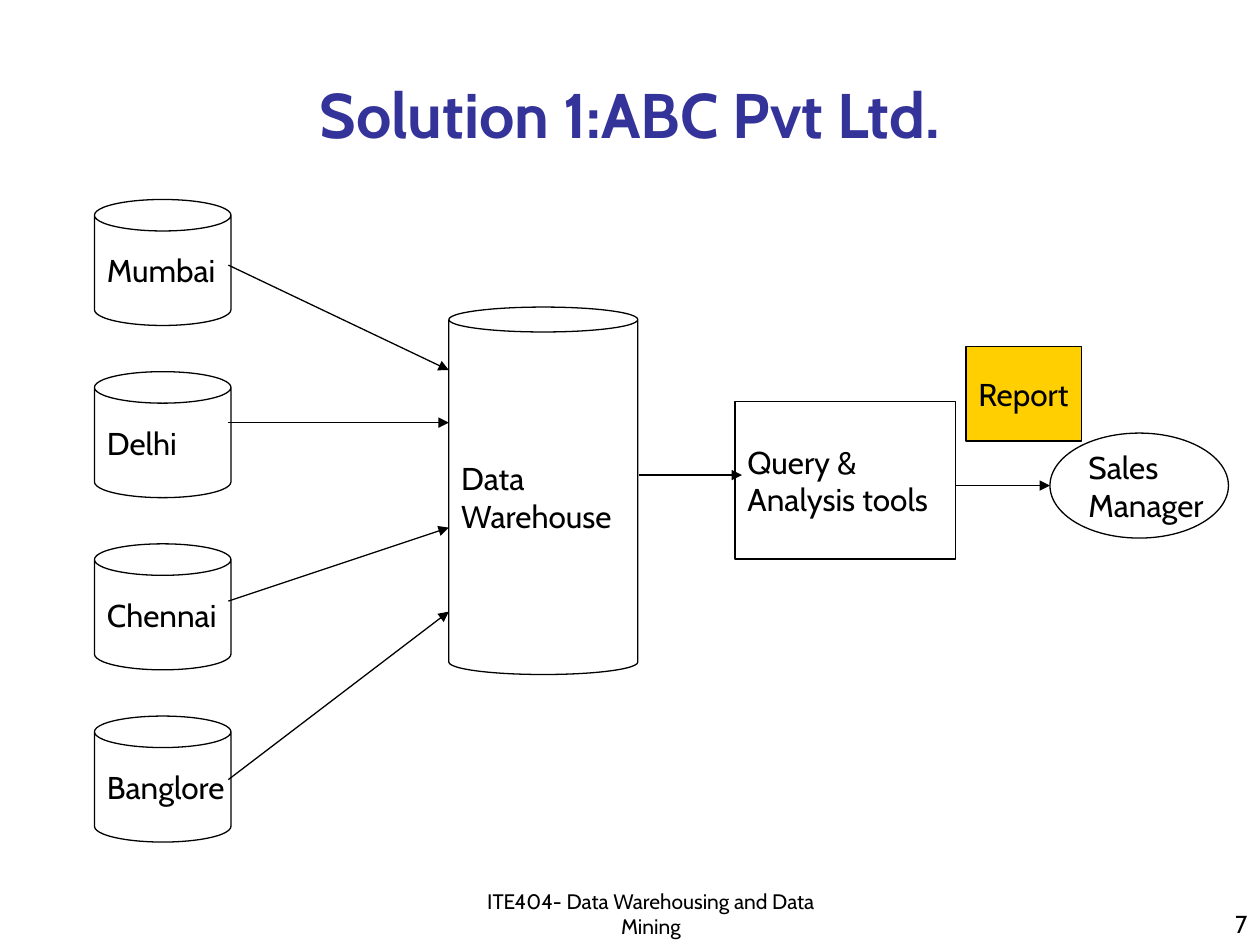
from typing import NamedTuple, Optional

from pptx import Presentation
from pptx.dml.color import RGBColor
from pptx.enum.shapes import MSO_CONNECTOR, MSO_SHAPE
from pptx.enum.text import MSO_ANCHOR, PP_ALIGN
from pptx.oxml.ns import qn
from pptx.util import Pt
from lxml import etree

CAN, RECT, OVAL = MSO_SHAPE.CAN, MSO_SHAPE.RECTANGLE, MSO_SHAPE.OVAL
STRAIGHT = MSO_CONNECTOR.STRAIGHT
MIDDLE, BOTTOM = MSO_ANCHOR.MIDDLE, MSO_ANCHOR.BOTTOM
LEFT, CENTER, RIGHT = PP_ALIGN.LEFT, PP_ALIGN.CENTER, PP_ALIGN.RIGHT

BLACK = RGBColor(0x00, 0x00, 0x00)
INDIGO = RGBColor(0x33, 0x33, 0x99)
GOLD = RGBColor(0xFF, 0xCF, 0x01)
FONT = "Cabin"
LINE_WIDTH = Pt(0.75)


class Node(NamedTuple):
    kind: int
    x: float
    y: float
    w: float
    h: float
    lines: tuple
    fill: Optional[RGBColor] = None
    adj: Optional[float] = None


class Arrow(NamedTuple):
    x1: float
    y1: float
    x2: float
    y2: float


class Label(NamedTuple):
    x: float
    y: float
    w: float
    h: float
    text: str
    size: float
    align: int
    color: RGBColor = BLACK
    bold: bool = False


# Branch databases, evenly spaced down the left side
CITIES = ("Mumbai", "Delhi", "Chennai", "Banglore")
CITY_TOP, CITY_PITCH = 114, 98.4
BRANCHES = [Node(CAN, 54, CITY_TOP + i * CITY_PITCH, 78, 72, (city,), adj=0.25)
            for i, city in enumerate(CITIES)]

# Remaining stages of the flow
STAGES = [
    Node(CAN, 256.5, 175.5, 108, 210, ("Data", "Warehouse"), adj=0.132),
    Node(OVAL, 600, 247.5, 102, 60, ("Sales", "Manager")),
    Node(RECT, 420, 229.5, 126, 90, ("Query &", "Analysis tools")),
    Node(RECT, 552, 198, 66, 54, ("Report",), fill=GOLD),
]

# Start and end heights of the arrows from each branch to the warehouse
FEEDS = ((151.5, 211.5), (241.5, 241.5), (343.5, 301.5), (445.5, 349.5))
ARROWS = [Arrow(130.5, y1, 256.5, y2) for y1, y2 in FEEDS] + [
    Arrow(365, 271.5, 424, 271.5),
    Arrow(546, 277.5, 600, 277.5),
]

LABELS = [
    Label(54, 30, 612, 60, "Solution 1:ABC Pvt Ltd.", 36, CENTER, INDIGO, True),
    Label(570, 504, 150, 36, "7", 14, RIGHT),
    Label(258, 510, 228, 30, "ITE404- Data Warehousing and Data Mining", 12, CENTER),
]


def add_run(p, text: str, size: float, color: RGBColor, bold: bool = False) -> None:
    r = p.add_run()
    r.text = text
    r.font.name = FONT
    r.font.size = Pt(size)
    r.font.bold = bold
    r.font.color.rgb = color


def draw_node(s, node: Node) -> None:
    sp = s.shapes.add_shape(node.kind, Pt(node.x), Pt(node.y), Pt(node.w), Pt(node.h))
    sp.shadow.inherit = False
    if node.adj is not None:
        sp.adjustments[0] = node.adj
    if node.fill is None:
        sp.fill.background()
    else:
        sp.fill.solid()
        sp.fill.fore_color.rgb = node.fill
    sp.line.color.rgb = BLACK
    sp.line.width = LINE_WIDTH
    tf = sp.text_frame
    tf.word_wrap = False
    tf.vertical_anchor = MIDDLE
    for i, line in enumerate(node.lines):
        p = tf.add_paragraph() if i else tf.paragraphs[0]
        p.alignment = LEFT
        add_run(p, line, 18, BLACK)


def draw_arrow(s, arrow: Arrow) -> None:
    cx = s.shapes.add_connector(STRAIGHT, *(Pt(v) for v in arrow))
    cx.line.color.rgb = BLACK
    cx.line.width = LINE_WIDTH
    etree.SubElement(cx.line._get_or_add_ln(), qn("a:tailEnd"), type="triangle")
    etree.SubElement(cx._element.spPr, qn("a:effectLst"))


def draw_label(s, label: Label) -> None:
    sp = s.shapes.add_textbox(Pt(label.x), Pt(label.y), Pt(label.w), Pt(label.h))
    tf = sp.text_frame
    tf.word_wrap = True
    tf.vertical_anchor = BOTTOM
    p = tf.paragraphs[0]
    p.alignment = label.align
    add_run(p, label.text, label.size, label.color, label.bold)


def main() -> None:
    prs = Presentation()
    prs.slide_width, prs.slide_height = Pt(720), Pt(540)
    s = prs.slides.add_slide(prs.slide_layouts[6])

    # Flow diagram
    for node in BRANCHES + STAGES:
        draw_node(s, node)
    for arrow in ARROWS:
        draw_arrow(s, arrow)

    # Title, page number and footer
    for label in LABELS:
        draw_label(s, label)

    prs.save("out.pptx")


if __name__ == "__main__":
    main()
